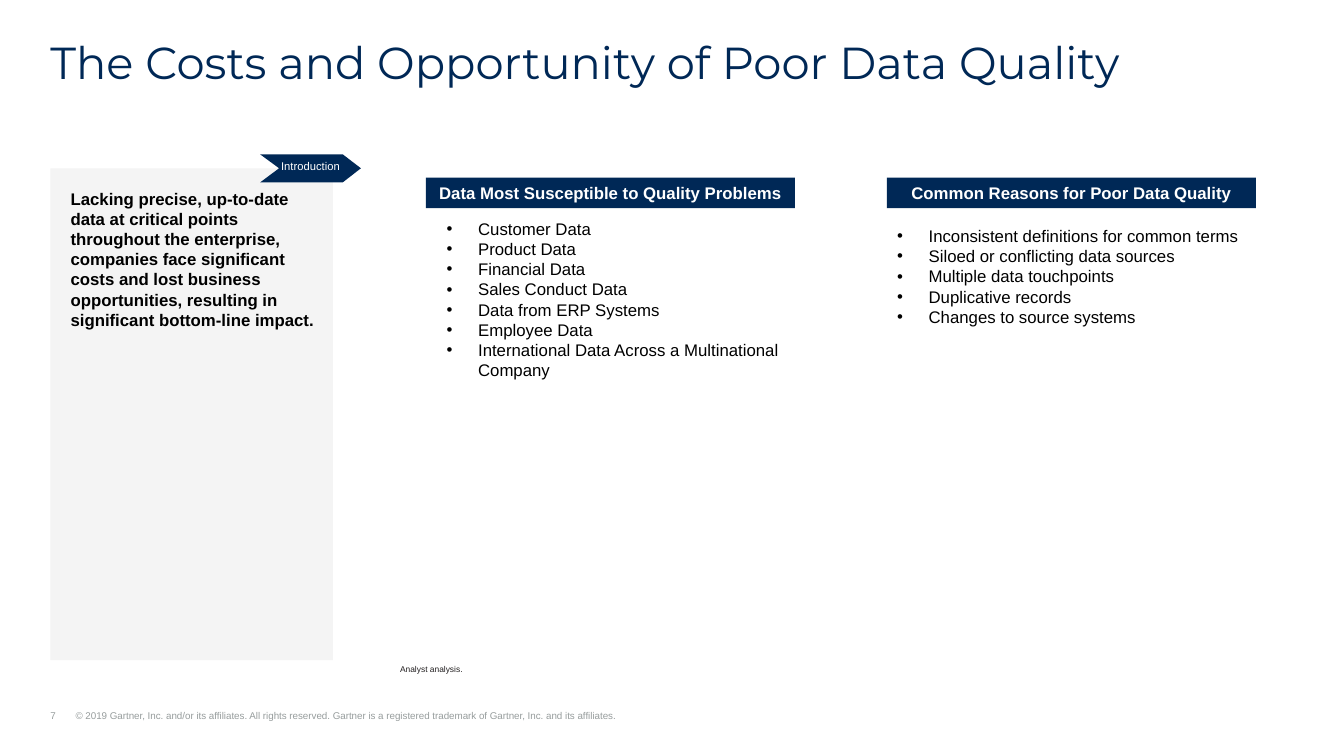
from lxml import etree
from pptx import Presentation
from pptx.dml import color
from pptx.enum import shapes, text
from pptx.oxml import ns
from pptx.util import Pt

HUES = {"navy": "002856", "panel": "F4F4F4", "white": "FFFFFF",
        "black": "000000", "note": "221F20", "foot": "979D9D"}
LEFT, MID = text.PP_ALIGN.LEFT, text.PP_ALIGN.CENTER
TOP, CORE, BASE = (text.MSO_ANCHOR.TOP, text.MSO_ANCHOR.MIDDLE,
                   text.MSO_ANCHOR.BOTTOM)
PAD = (7.2, 3.6, 7.2, 3.6)
FLAT = (0, 0, 0, 0)

INTRO = ("Lacking precise, up-to-date data at critical points throughout the "
         "enterprise, companies face significant costs and lost business "
         "opportunities, resulting in significant bottom-line impact.")
RISKS = ["Customer Data", "Product Data", "Financial Data",
         "Sales Conduct Data", "Data from ERP Systems", "Employee Data",
         "International Data Across a Multinational Company"]
CAUSES = ["Inconsistent definitions for common terms",
          "Siloed or conflicting data sources", "Multiple data touchpoints",
          "Duplicative records", "Changes to source systems"]
LEGAL = ("7\t© 2019 Gartner, Inc. and/or its affiliates. All rights reserved."
         "\u00a0Gartner is a registered trademark of Gartner, Inc. and its "
         "affiliates.")


def tint(name):
    return color.RGBColor.from_string(HUES[name])


def place(shape, box):
    shape.left, shape.top, shape.width, shape.height = map(Pt, box)


def paint(shape, hue):
    shape.fill.solid()
    shape.fill.fore_color.rgb = tint(hue)
    shape.line.fill.background()
    shape.shadow.inherit = False


def node(para, tag, **attrs):
    return etree.SubElement(para._p.get_or_add_pPr(), ns.qn(tag), attrs)


def hang(para, gap):
    props = para._p.get_or_add_pPr()
    props.set("marL", str(Pt(gap)))
    props.set("indent", str(-Pt(gap)))


def write(shape, lines, size, hue, bold=False, face="Arial", align=LEFT,
          anchor=TOP, pad=PAD, mark=None, gap=0, wrap=True):
    frame = shape.text_frame
    frame.word_wrap = wrap
    frame.auto_size = text.MSO_AUTO_SIZE.NONE
    frame.vertical_anchor = anchor
    (frame.margin_left, frame.margin_top,
     frame.margin_right, frame.margin_bottom) = map(Pt, pad)
    frame.text = "\n".join(lines)
    for para in frame.paragraphs:
        hang(para, gap)
        if mark:
            node(para, "a:buFont", typeface="Arial")
            node(para, "a:buChar", char=mark)
        else:
            node(para, "a:buNone")
        para.alignment = align
        para.space_before = Pt(0)
        font = para.font
        font.name, font.size, font.bold = face, Pt(size), bold
        font.color.rgb = tint(hue)
    return frame.paragraphs[0]


def header(slide, x, label):
    bar = slide.shapes.add_shape(shapes.MSO_SHAPE.RECTANGLE,
                                 Pt(x), Pt(126.9), Pt(263.5), Pt(21.8))
    paint(bar, "navy")
    write(bar, [label], 12, "white", True, align=MID, anchor=CORE)


def bullets(holder, box, items):
    place(holder, box)
    paint(holder, "white")
    write(holder, items, 12, "black", mark="•", gap=22.5)


def ribbon(slide, label):
    dots = [(244.8, 110.2), (257.8, 120.2), (244.8, 130.3),
            (185.8, 130.3), (199.4, 120.2), (185.8, 110.2)]
    first, *rest = [(Pt(x), Pt(y)) for x, y in dots]
    pen = slide.shapes.build_freeform(*first)
    pen.add_line_segments(rest, close=True)
    flag = pen.convert_to_shape()
    paint(flag, "navy")
    write(flag, [label], 8, "white", align=MID)


def note(slide, box, line, size, hue, **opts):
    label = slide.shapes.add_textbox(*map(Pt, box))
    return write(label, [line], size, hue, pad=FLAT, **opts)


def main():
    deck = Presentation()
    deck.slide_width, deck.slide_height = Pt(960), Pt(540)
    slide = deck.slides.add_slide(deck.slide_layouts[4])
    title, intro, risks, spare, causes = slide.placeholders
    spare.element.getparent().remove(spare.element)

    place(title, (36, 28.8, 888, 34.6))
    para = write(title, ["The Costs and Opportunity of Poor Data Quality"],
                 32, "navy", face="Montserrat", pad=FLAT)
    para.line_spacing = 0.9

    place(intro, (36, 120.2, 201.8, 351.4))
    paint(intro, "panel")
    write(intro, [INTRO], 12, "black", True, pad=(14.4, 14.4, 7.2, 14.4))
    ribbon(slide, "Introduction")

    header(slide, 304.3, "Data Most Susceptible to Quality Problems")
    bullets(risks, (311.8, 152.6, 274.3, 133.2), RISKS)
    header(slide, 633.6, "Common Reasons for Poor Data Quality")
    bullets(causes, (633.6, 157.7, 274.3, 138.2), CAUSES)

    note(slide, (285.8, 474.5, 141.8, 7.9), "Analyst analysis.", 6, "note",
         wrap=False)
    para = note(slide, (36, 506.9, 575.3, 8.6), LEGAL, 7, "foot",
                anchor=BASE, gap=18)
    tabs = etree.Element(ns.qn("a:tabLst"))
    etree.SubElement(tabs, ns.qn("a:tab"), pos=str(Pt(18)), algn="l")
    para._p.pPr.find(ns.qn("a:buNone")).addnext(tabs)
    deck.save("out.pptx")


if __name__ == "__main__":
    main()
